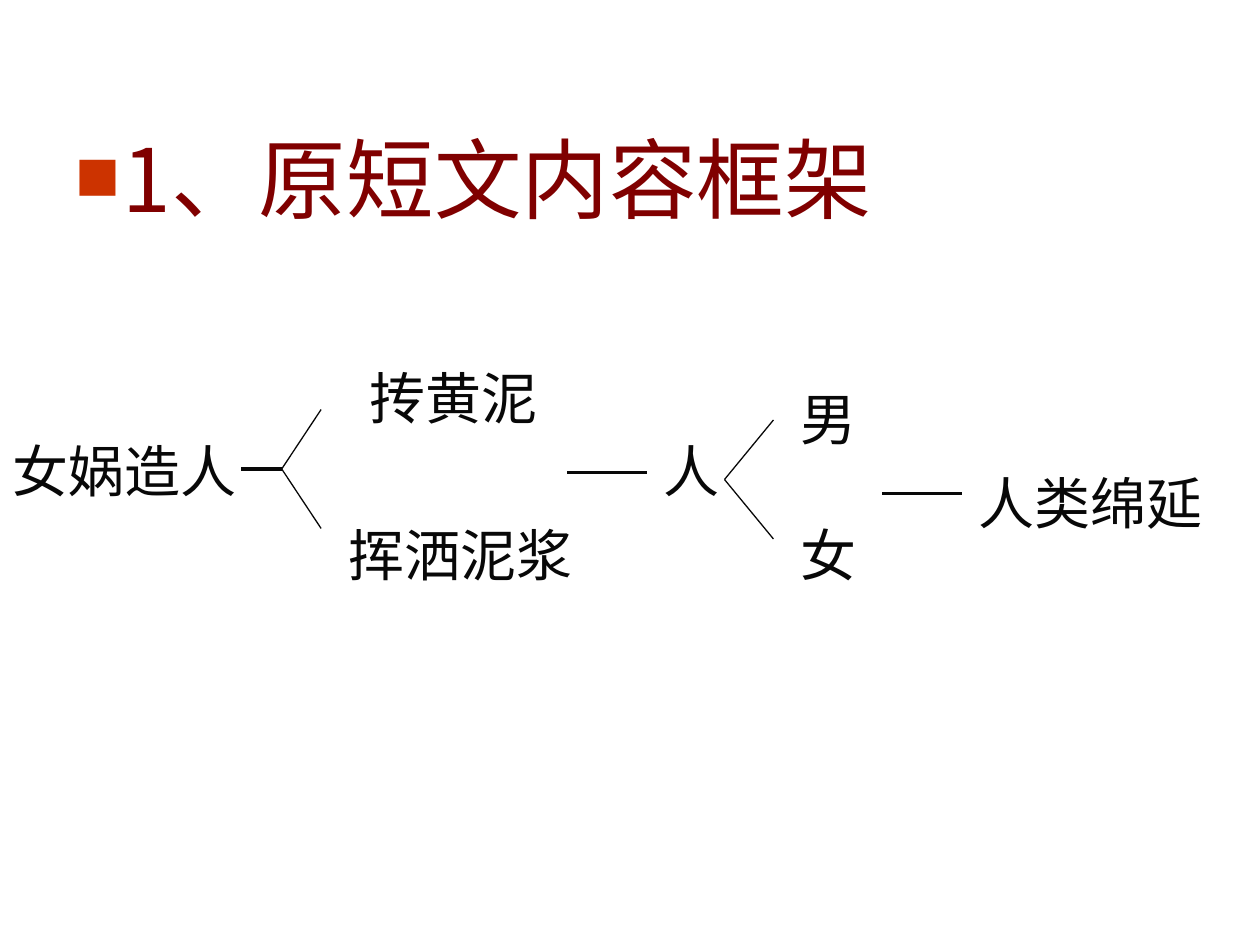
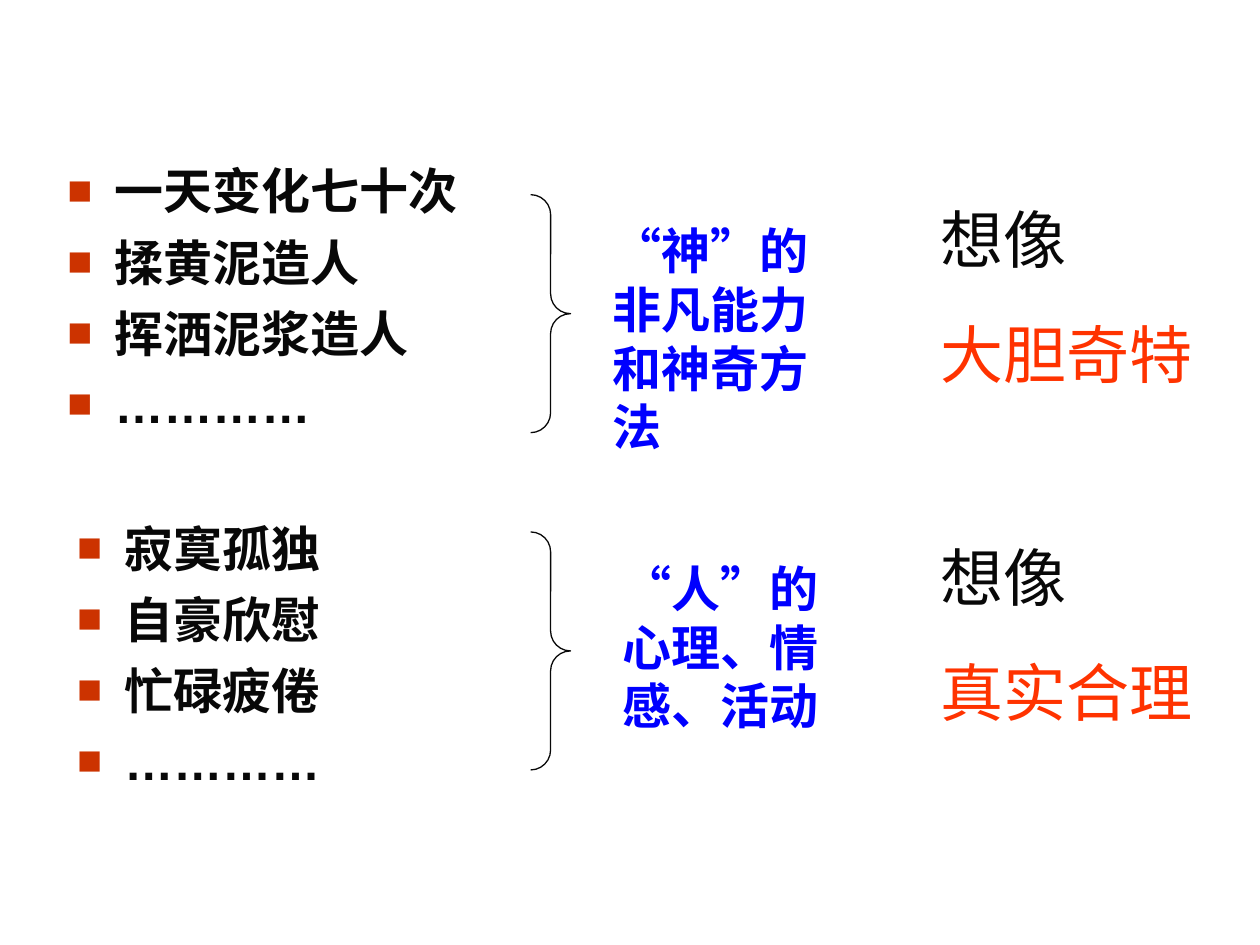
from typing import NamedTuple

from lxml.etree import SubElement
from pptx import Presentation
from pptx.dml.color import RGBColor
from pptx.enum.shapes import MSO_CONNECTOR, MSO_SHAPE
from pptx.enum.text import MSO_ANCHOR, MSO_AUTO_SIZE, PP_ALIGN
from pptx.oxml.ns import qn
from pptx.util import Pt

LATIN = "Arial"
HAN = "Noto Sans CJK SC"
INK = "080808"
MAROON = "800000"
BLUE = "0000FF"
ORANGE = "FF3300"
RUST = "CC3300"
LEADING = 1.2
INDENT = 27


class Label(NamedTuple):
    text: str
    left: float
    top: float


class Stroke(NamedTuple):
    start: tuple[float, float]
    end: tuple[float, float]
    weight: float


class Style(NamedTuple):
    size: float
    colors: tuple[str, ...] = (INK,)
    bold: bool = False
    gap: float = 0
    bullet: bool = False
    wrap: bool = True


class Block(NamedTuple):
    lines: tuple[str, ...]
    left: float
    top: float
    width: float
    height: float
    style: Style


class Group(NamedTuple):
    brace: float
    facts: Block
    theme: Block
    verdict: Block


NODE = Style(32, wrap=False)
FACT = Style(28, bold=True, gap=7, bullet=True)
THEME = Style(28, (BLUE,), bold=True)
VERDICT = Style(36, (INK, ORANGE), gap=22.5)

LABELS = [
    Label("女娲造人", 0, 246),
    Label("抟黄泥", 204, 204),
    Label("挥洒泥浆", 192, 294),
    Label("人", 372, 246),
    Label("人类绵延", 552, 264),
    Label("男", 450.5, 216),
    Label("女", 450.5, 294),
]

THICK, THIN = 2.25, 0.75
STROKES = [
    Stroke((138, 268), (161, 268), THICK),
    Stroke((161, 268), (183.5, 234), THIN),
    Stroke((161, 268), (183.5, 302), THIN),
    Stroke((324, 270), (369.5, 270), THICK),
    Stroke((442, 240), (414, 274), THIN),
    Stroke((442, 308), (414, 274), THIN),
    Stroke((504, 282), (549.5, 282), THICK),
]

GROUPS = [
    Group(
        111.25,
        Block(("一天变化七十次", "揉黄泥造人", "挥洒泥浆造人", "…………"),
              31.4, 88.5, 273, 166, FACT),
        Block(("“神”的非凡能力和神奇方法",), 343, 122.5, 147.5, 108, THEME),
        Block(("想像", "大胆奇特"), 530.5, 111.25, 170, 117, VERDICT),
    ),
    Group(
        304,
        Block(("寂寞孤独", "自豪欣慰", "忙碌疲倦", "…………"),
              37, 292.5, 273, 166, FACT),
        Block(("“人”的心理、情感、活动",), 348.5, 315.5, 142, 108, THEME),
        Block(("想像", "真实合理"), 530.5, 304, 189.5, 117, VERDICT),
    ),
]


def tint(code: str) -> RGBColor:
    return RGBColor.from_string(code)


def mark(para) -> None:
    props = para._p.get_or_add_pPr()
    props.set("marL", str(Pt(INDENT)))
    props.set("indent", str(-Pt(INDENT)))
    color = SubElement(props, qn("a:buClr"))
    SubElement(color, qn("a:srgbClr"), val=RUST)
    SubElement(props, qn("a:buSzPct"), val="85000")
    SubElement(props, qn("a:buFont"), typeface=LATIN)
    SubElement(props, qn("a:buChar"), char="■")


def paint(para, size: float, color: str, bold: bool, face: str) -> None:
    asian = LATIN if para.text.startswith("…") else HAN
    for run in para.runs:
        font = run.font
        font.size = Pt(size)
        font.bold = bold
        font.color.rgb = tint(color)
        font.name = face
        SubElement(run._r.get_or_add_rPr(), qn("a:ea"), typeface=asian)


def write(slide, block: Block) -> None:
    style = block.style
    box = slide.shapes.add_textbox(
        Pt(block.left), Pt(block.top), Pt(block.width), Pt(block.height))
    frame = box.text_frame
    frame.text = "\n".join(block.lines)
    frame.word_wrap = style.wrap
    for index, para in enumerate(frame.paragraphs):
        if style.bullet:
            mark(para)
        para.line_spacing = Pt(LEADING * style.size)
        if index:
            para.space_before = Pt(style.gap)
        color = style.colors[index % len(style.colors)]
        paint(para, style.size, color, style.bold, LATIN)


def head(slide, text: str) -> None:
    title = slide.shapes.title
    title.left, title.top = Pt(36), Pt(84.4)
    title.width, title.height = Pt(648), Pt(51)
    frame = title.text_frame
    frame.text = text
    frame.auto_size = MSO_AUTO_SIZE.NONE
    frame.vertical_anchor = MSO_ANCHOR.TOP
    frame.margin_top, frame.margin_bottom = Pt(3.6), Pt(0)
    para = frame.paragraphs[0]
    mark(para)
    para.alignment = PP_ALIGN.LEFT
    para.line_spacing = 0.7
    para.space_before = Pt(0)
    paint(para, 50, MAROON, False, HAN)


def link(slide, stroke: Stroke) -> None:
    ends = [Pt(value) for value in stroke.start + stroke.end]
    line = slide.shapes.add_connector(MSO_CONNECTOR.STRAIGHT, *ends)
    line.line.color.rgb = tint(INK)
    line.line.width = Pt(stroke.weight)
    SubElement(line._element.spPr, qn("a:effectLst"))


def brace(slide, top: float) -> None:
    shape = slide.shapes.add_shape(
        MSO_SHAPE.RIGHT_BRACE, Pt(303.25), Pt(top), Pt(22.75), Pt(136))
    shape.adjustments[0] = 0.5
    shape.shadow.inherit = False
    shape.fill.background()
    shape.line.color.rgb = tint(INK)
    shape.line.width = Pt(THIN)


def main() -> None:
    deck = Presentation()
    deck.slide_width, deck.slide_height = Pt(720), Pt(540)

    frame = deck.slides.add_slide(deck.slide_layouts[5])
    head(frame, "1、原短文内容框架")
    for label in LABELS:
        width = len(label.text) * NODE.size + 14.4
        write(frame, Block((label.text,), label.left, label.top, width, 46, NODE))
    for stroke in STROKES:
        link(frame, stroke)

    theme = deck.slides.add_slide(deck.slide_layouts[6])
    for group in GROUPS:
        brace(theme, group.brace)
        for block in (group.facts, group.theme, group.verdict):
            write(theme, block)

    deck.save("out.pptx")


if __name__ == "__main__":
    main()
